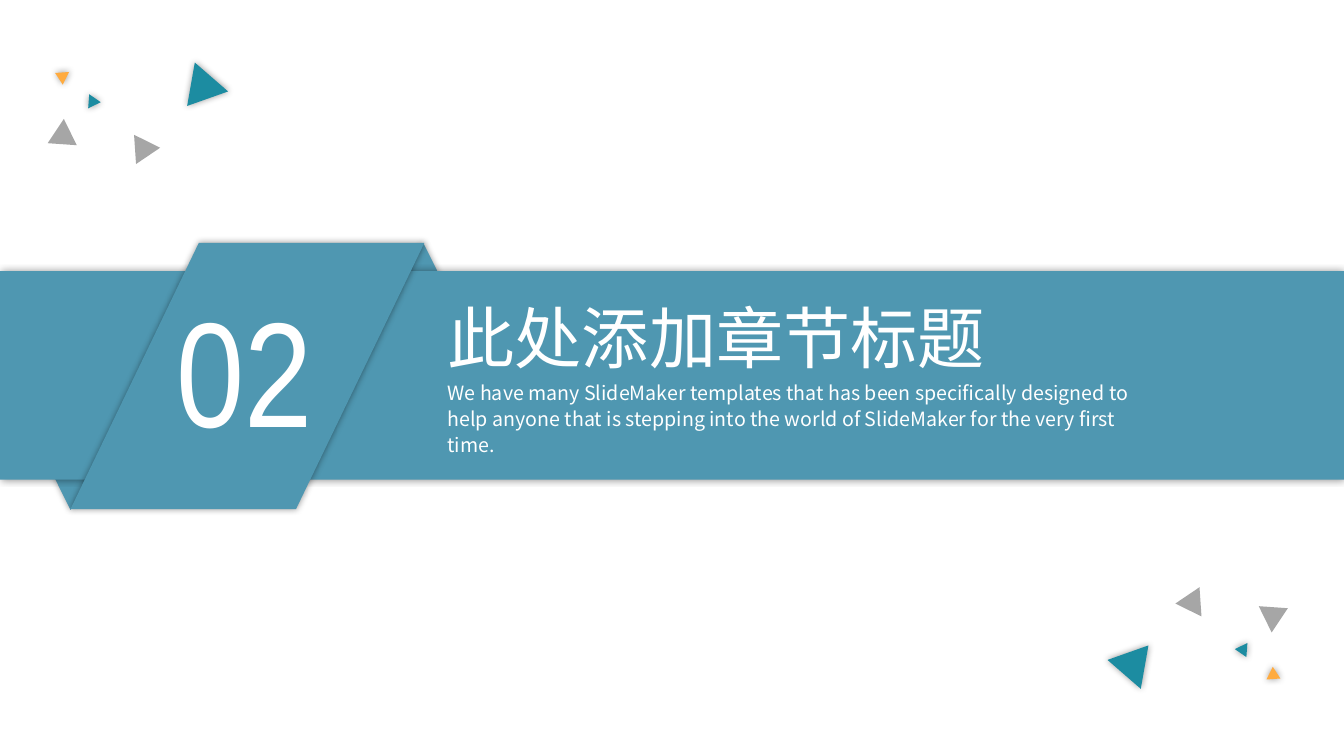
from lxml import etree
from pptx import Presentation, util as u
from pptx.dml import color
from pptx.enum import shapes, text
from pptx.oxml import ns

TEAL, ORANGE, GRAY, BLUE, WHITE = "1C8CA1", "FFAB3F", "A6A6A6", "4F97B1", "FFFFFF"
SANS, NARROW = "Noto Sans CJK SC", "Arial Narrow"


def rgb(value):
    return color.RGBColor.from_string(value)


class SectionSlide:
    """Holds the style and the current slide, and draws its elements in points."""

    def __init__(self, slide):
        self.slide = slide
        self.target = slide.shapes

    def start_group(self):
        self.target = self.slide.shapes.add_group_shape().shapes

    def end_group(self):
        self.target = self.slide.shapes

    def add_shadow(self, shape):
        effects = shape._element.spPr.find(ns.qn("a:effectLst"))
        shadow = etree.SubElement(effects, ns.qn("a:outerShdw"), blurRad=str(u.Pt(5)),
                                  dist="0", dir="0", algn="ctr", rotWithShape="0")
        tint = etree.SubElement(shadow, ns.qn("a:srgbClr"), val="000000")
        etree.SubElement(tint, ns.qn("a:alpha"), val="40000")

    def add_shape(self, kind, box, fill, rotation=0, flip=None, shadow=True, adjust=None):
        shape = self.target.add_shape(kind, *map(u.Pt, box))
        shape.fill.solid()
        shape.fill.fore_color.rgb = rgb(fill)
        shape.line.fill.background()
        shape.rotation = rotation
        shape.shadow.inherit = False
        if flip:
            shape._element.spPr.xfrm.set(flip, "1")
        if shadow:
            self.add_shadow(shape)
        if adjust is not None:
            shape.adjustments[0] = adjust

    def add_text(self, words, box, size, face, align=text.PP_ALIGN.LEFT, spacing=None):
        frame = self.target.add_textbox(*map(u.Pt, box)).text_frame
        frame_format = {"margin_left": 0, "margin_top": 0, "margin_right": 0,
                        "margin_bottom": 0, "word_wrap": True,
                        "auto_size": text.MSO_AUTO_SIZE.SHAPE_TO_FIT_TEXT}
        for name, value in frame_format.items():
            setattr(frame, name, value)
        paragraph = frame.paragraphs[0]
        paragraph.alignment = align
        paragraph.line_spacing = spacing
        run = paragraph.add_run()
        run.text = words
        for name, value in {"size": u.Pt(size), "name": face}.items():
            setattr(run.font, name, value)
        run.font.color.rgb = rgb(WHITE)
        etree.SubElement(run._r.get_or_add_rPr(), ns.qn("a:ea"), typeface=face)


def add_confetti(page):
    triangle = shapes.MSO_SHAPE.ISOSCELES_TRIANGLE
    mirror_x, mirror_y = 954, 536.7
    confetti = [
        (95, 97.2, 20.9, 18, 266.1, GRAY),
        (128.2, 43.9, 31, 27.4, 160.5, TEAL),
        (31.7, 89.3, 20.9, 18, 63.8, GRAY),
        (38.2, 49.7, 10.1, 8.6, 116.5, ORANGE),
        (62.6, 68.4, 10.1, 8.6, 274.2, TEAL),
    ]
    for flip in ("flipV", "flipH"):
        for left, top, width, height, rotation, fill in confetti:
            if flip == "flipH":
                left, top = mirror_x - left - width, mirror_y - top - height
            page.add_shape(triangle, (left, top, width, height), fill,
                           rotation, flip, shadow=fill != GRAY)


def add_ribbon(page):
    kinds = shapes.MSO_SHAPE
    page.start_group()
    page.add_shape(kinds.ISOSCELES_TRIANGLE, (259.2, 173.5, 86.4, 87.1), BLUE)
    page.add_shape(kinds.ISOSCELES_TRIANGLE, (7.2, 277.2, 86.4, 87.1), BLUE, flip="flipV")
    page.add_shape(kinds.RECTANGLE, (0, 193.7, 960, 149), BLUE)
    page.add_shape(kinds.PARALLELOGRAM, (50.4, 173.5, 252.7, 190.1), BLUE, adjust=0.482)
    page.add_text("02", (105.1, 198.7, 139, 128.9), 106.6, NARROW, text.PP_ALIGN.CENTER)
    page.end_group()


def main():
    deck = Presentation()
    deck.slide_width, deck.slide_height = u.Pt(960), u.Pt(540)
    page = SectionSlide(deck.slides.add_slide(deck.slide_layouts[6]))
    add_confetti(page)
    add_ribbon(page)
    page.add_text("此处添加章节标题", (319.7, 211.7, 530, 58.3), 48, SANS)
    page.add_text("We have many SlideMaker templates that has been specifically designed to "
                  "help anyone that is stepping into the world of SlideMaker for the very "
                  "first time.", (319.7, 270.7, 497.5, 56.2), 14, SANS, spacing=1.1)
    deck.save("out.pptx")


if __name__ == "__main__":
    main()
